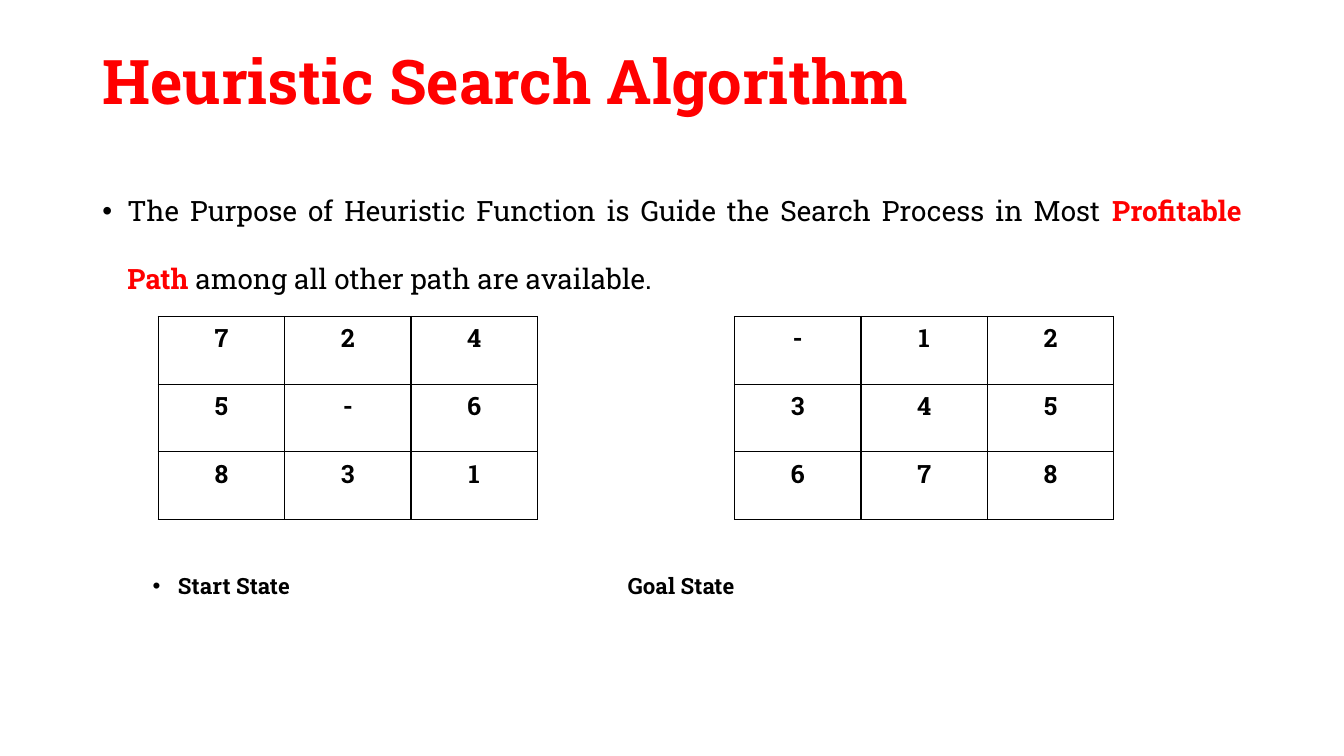
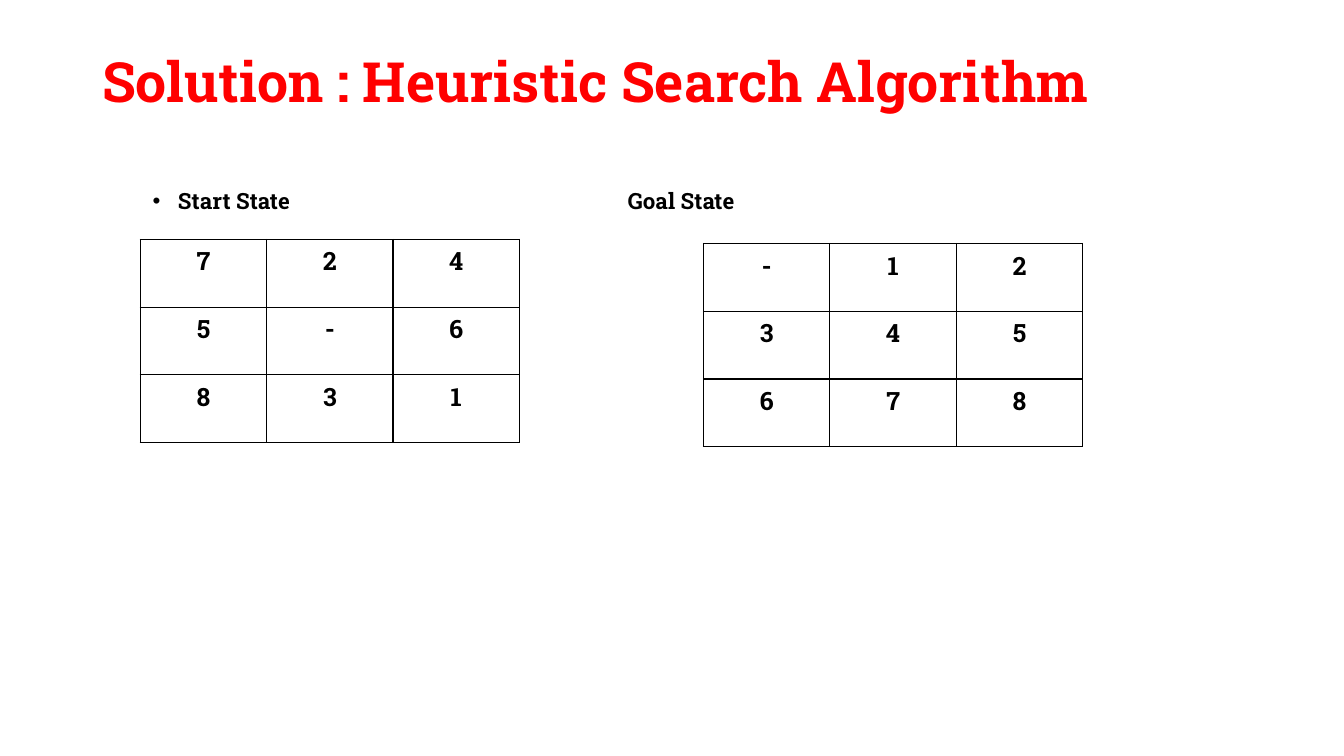
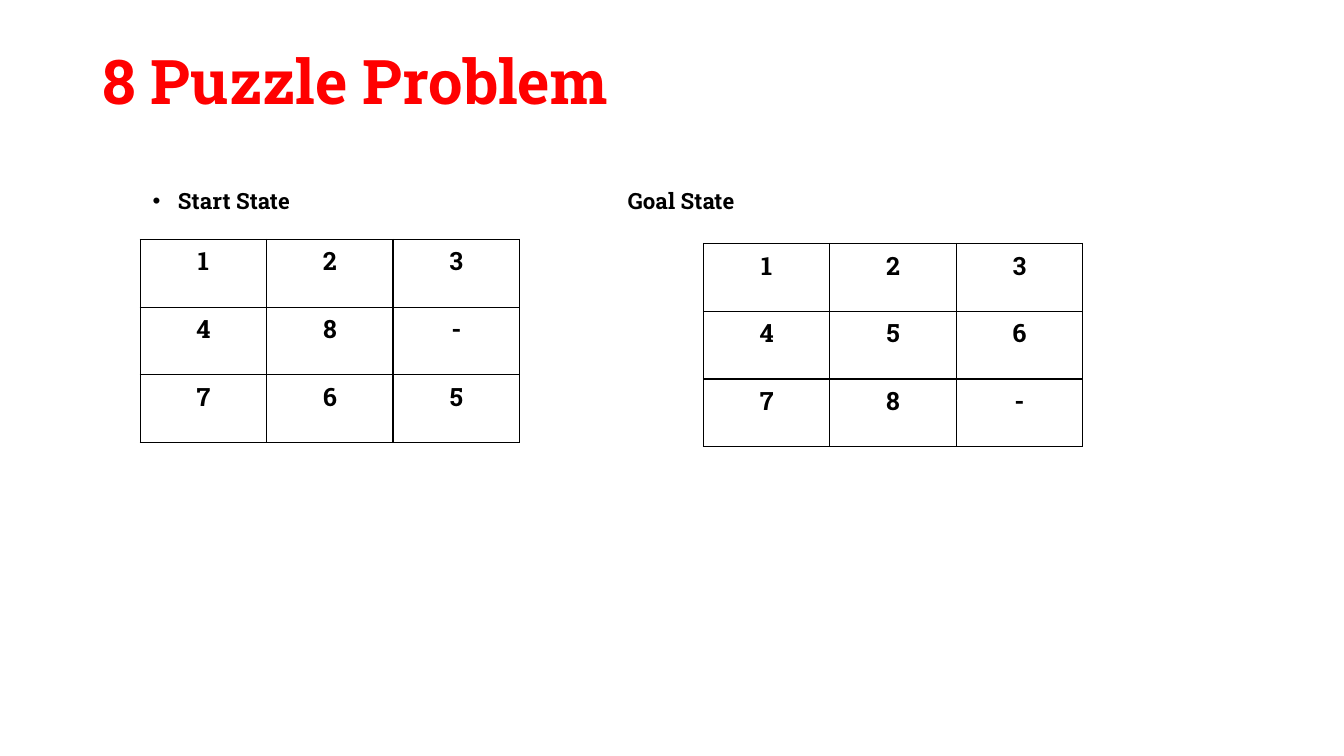
import dataclasses
import typing

import lxml.etree
import pptx
import pptx.dml.color
import pptx.enum.text
import pptx.oxml.ns
import pptx.slide
import pptx.table
import pptx.text.text
import pptx.util

Pt = pptx.util.Pt
qn = pptx.oxml.ns.qn
Align = pptx.enum.text.PP_ALIGN
Anchor = pptx.enum.text.MSO_ANCHOR

RED = pptx.dml.color.RGBColor(0xFF, 0x00, 0x00)
BLACK = pptx.dml.color.RGBColor(0x00, 0x00, 0x00)
FONT = "Roboto Slab"

SLIDE_WIDTH, SLIDE_HEIGHT = 960, 540
CONTENT_LEFT, CONTENT_WIDTH = 66, 828
TITLE_TOP, TITLE_HEIGHT = 28.75, 63.5
BODY_TOP, BODY_HEIGHT = 111, 112
LABEL_HEIGHT = 50
GOAL_LABEL_LEFT, GOAL_LABEL_WIDTH = 441.5, 200
CELL_WIDTH, CELL_HEIGHT = 90.3, 48.4
BULLET_HANG = 18


@dataclasses.dataclass(frozen=True)
class Run:
    text: str
    size: float
    color: pptx.dml.color.RGBColor = BLACK
    bold: bool = True


@dataclasses.dataclass(frozen=True)
class Box:
    left: float
    top: float
    width: float
    height: float


@dataclasses.dataclass(frozen=True)
class Grid:
    left: float
    top: float
    rows: tuple[str, ...]


@dataclasses.dataclass(frozen=True)
class PuzzleSlide:
    title: str
    title_size: float
    label_top: float
    start: Grid
    goal: Grid
    body: tuple[Run, ...] = ()


TITLE_FORMAT = {"line_spacing": 0.9, "alignment": Align.LEFT}
BODY_FORMAT = {"line_spacing": 2.0, "space_before": Pt(10), "alignment": Align.JUSTIFY}
LABEL_FORMAT = {"line_spacing": 2.0, "space_before": Pt(5), "alignment": Align.LEFT}

START_TILES = ("724", "5-6", "831")
GOAL_TILES = ("-12", "345", "678")

SLIDES = (
    PuzzleSlide(
        "Heuristic Search Algorithm", 44, 386,
        Grid(113, 226, START_TILES),
        Grid(524.7, 226, GOAL_TILES),
        (
            Run("The Purpose of Heuristic Function is Guide the Search Process in Most ", 20, bold=False),
            Run("Profitable Path ", 20, RED),
            Run("among all other path are available.", 20, bold=False),
        ),
    ),
    PuzzleSlide(
        "Solution : Heuristic Search Algorithm", 39.6, BODY_TOP,
        Grid(100.2, 171, START_TILES),
        Grid(502.5, 174, GOAL_TILES),
    ),
    PuzzleSlide(
        "8 Puzzle Problem", 44, BODY_TOP,
        Grid(100.2, 171, ("123", "48-", "765")),
        Grid(502.5, 174, ("123", "456", "78-")),
    ),
)


def write_runs(
    paragraph: pptx.text.text._Paragraph,
    runs: typing.Iterable[Run],
    paragraph_format: dict[str, typing.Any],
) -> None:
    for name, value in paragraph_format.items():
        setattr(paragraph, name, value)
    for item in runs:
        run = paragraph.add_run()
        run.text = item.text
        font_format = {"name": FONT, "size": Pt(item.size), "bold": item.bold}
        for name, value in font_format.items():
            setattr(run.font, name, value)
        run.font.color.rgb = item.color


def add_bullet(paragraph: pptx.text.text._Paragraph, indent: float) -> None:
    properties = paragraph._p.get_or_add_pPr()
    properties.set("marL", str(Pt(indent)))
    properties.set("indent", str(-Pt(BULLET_HANG)))
    lxml.etree.SubElement(properties, qn("a:buFont"), typeface="Arial")
    lxml.etree.SubElement(properties, qn("a:buChar"), char="•")


def add_text(
    slide: pptx.slide.Slide,
    box: Box,
    runs: typing.Iterable[Run],
    paragraph_format: dict[str, typing.Any],
    anchor: Anchor = Anchor.TOP,
    bullet_indent: float = 0,
) -> None:
    shape = slide.shapes.add_textbox(Pt(box.left), Pt(box.top), Pt(box.width), Pt(box.height))
    frame = shape.text_frame
    frame.word_wrap = True
    frame.vertical_anchor = anchor
    paragraph = frame.paragraphs[0]
    write_runs(paragraph, runs, paragraph_format)
    if bullet_indent:
        add_bullet(paragraph, bullet_indent)


def add_borders(cell: pptx.table._Cell) -> None:
    properties = cell._tc.get_or_add_tcPr()
    for side in ("a:lnL", "a:lnR", "a:lnT", "a:lnB"):
        line = lxml.etree.SubElement(properties, qn(side), w=str(Pt(1)))
        fill = lxml.etree.SubElement(line, qn("a:solidFill"))
        lxml.etree.SubElement(fill, qn("a:srgbClr"), val=str(BLACK))


def add_grid(slide: pptx.slide.Slide, grid: Grid) -> None:
    row_count, column_count = len(grid.rows), len(grid.rows[0])
    table = slide.shapes.add_table(
        row_count, column_count, Pt(grid.left), Pt(grid.top),
        Pt(CELL_WIDTH * column_count), Pt(CELL_HEIGHT * row_count),
    ).table
    for name, value in {"first_row": False, "horz_banding": False}.items():
        setattr(table, name, value)
    for row_index, tiles in enumerate(grid.rows):
        for column_index, tile in enumerate(tiles):
            cell = table.cell(row_index, column_index)
            add_borders(cell)
            cell.fill.background()
            write_runs(cell.text_frame.paragraphs[0], [Run(tile, 18)], {"alignment": Align.CENTER})


def add_puzzle_slide(presentation: typing.Any, content: PuzzleSlide) -> None:
    slide = presentation.slides.add_slide(presentation.slide_layouts[6])
    add_text(
        slide, Box(CONTENT_LEFT, TITLE_TOP, CONTENT_WIDTH, TITLE_HEIGHT),
        [Run(content.title, content.title_size, RED)], TITLE_FORMAT, Anchor.MIDDLE,
    )
    if content.body:
        add_text(
            slide, Box(CONTENT_LEFT, BODY_TOP, CONTENT_WIDTH, BODY_HEIGHT),
            content.body, BODY_FORMAT, bullet_indent=BULLET_HANG,
        )
    add_text(
        slide, Box(CONTENT_LEFT, content.label_top, GOAL_LABEL_LEFT - CONTENT_LEFT, LABEL_HEIGHT),
        [Run("Start State", 16)], LABEL_FORMAT, bullet_indent=3 * BULLET_HANG,
    )
    add_text(
        slide, Box(GOAL_LABEL_LEFT, content.label_top, GOAL_LABEL_WIDTH, LABEL_HEIGHT),
        [Run("Goal State", 16)], LABEL_FORMAT,
    )
    for grid in (content.start, content.goal):
        add_grid(slide, grid)


def main() -> None:
    presentation = pptx.Presentation()
    presentation.slide_width = Pt(SLIDE_WIDTH)
    presentation.slide_height = Pt(SLIDE_HEIGHT)
    for content in SLIDES:
        add_puzzle_slide(presentation, content)
    presentation.save("out.pptx")


if __name__ == "__main__":
    main()
